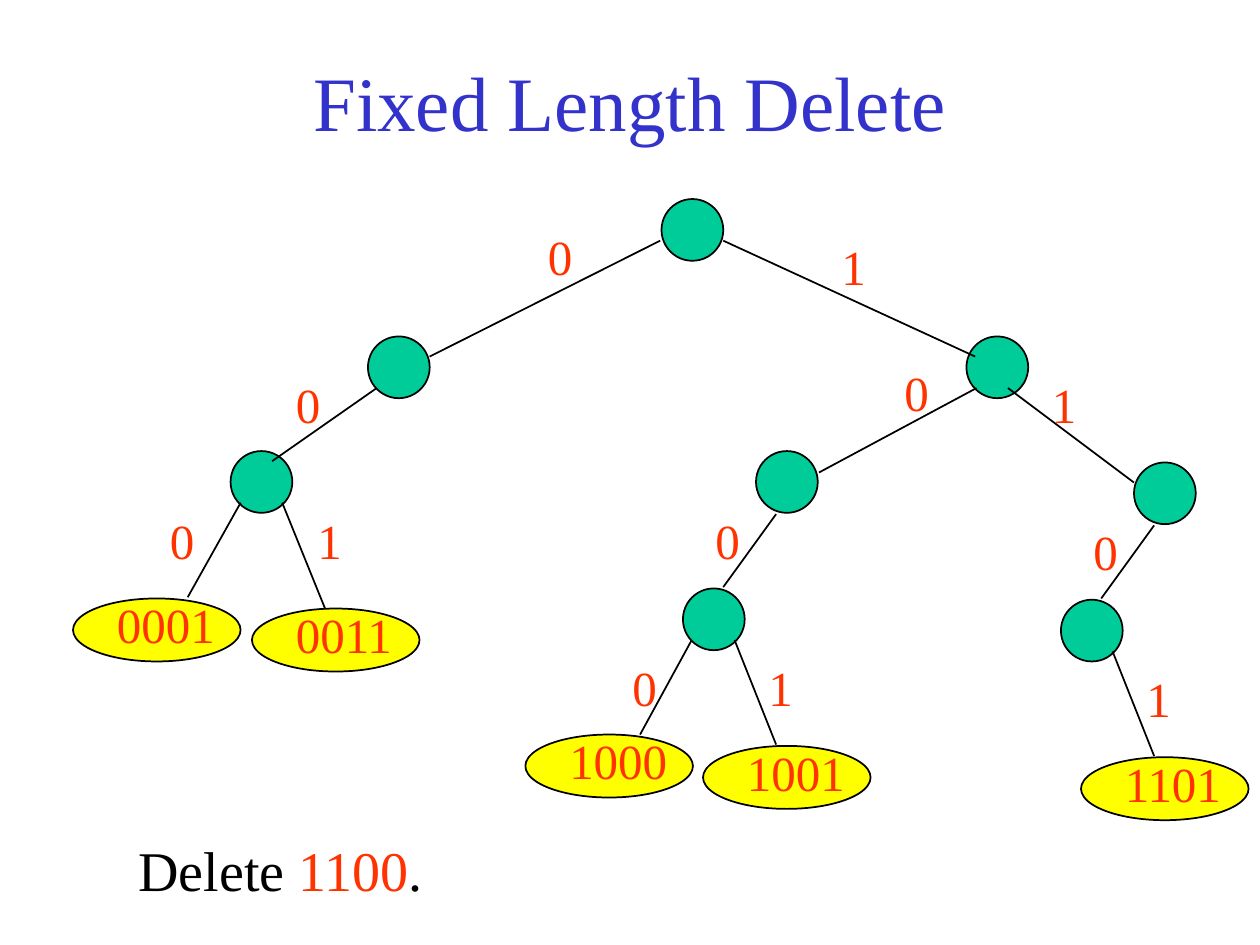
from dataclasses import dataclass

from lxml.etree import SubElement
from pptx import Presentation
from pptx.dml.color import RGBColor as Rgb
from pptx.enum.shapes import MSO_CONNECTOR as Connector, MSO_SHAPE as Preset
from pptx.enum.text import MSO_ANCHOR as Anchor, PP_ALIGN as Align
from pptx.oxml.ns import qn
from pptx.util import Inches, Pt


@dataclass(frozen=True)
class Theme:
    font: str = "Times New Roman"
    title: Rgb = Rgb(0x33, 0x33, 0xCC)
    bits: Rgb = Rgb(0xFF, 0x33, 0x00)
    ink: Rgb = Rgb(0, 0, 0)
    paper: Rgb = Rgb(0xFF, 0xFF, 0xFF)
    node: Rgb = Rgb(0x00, 0xCC, 0x99)
    leaf: Rgb = Rgb(0xFF, 0xFF, 0x00)
    title_size: int = 44
    note_size: int = 32
    bits_size: int = 28
    line_width: int = 1


@dataclass(frozen=True)
class Node:
    left: float
    top: float


@dataclass(frozen=True)
class Leaf:
    left: float
    top: float
    key: str


@dataclass(frozen=True)
class Edge:
    start: tuple[float, float]
    end: tuple[float, float]
    bit: str
    label_at: tuple[float, float]


THEME = Theme()
NODE_SIZE = 0.49
LEAF_WIDTH, LEAF_HEIGHT = 1.33, 0.5
LABEL_WIDTH, LABEL_HEIGHT = 0.5, 0.57
KEY_WIDTH = 1.17
KEY_SHIFT = (0.25, -0.08)  # key text relative to its leaf

NODES = [
    Node(5.25, 1.58),
    Node(2.92, 2.67), Node(7.67, 2.67),
    Node(1.83, 3.58), Node(6, 3.58), Node(9, 3.67),
    Node(5.42, 4.67), Node(8.42, 4.76),
]
LEAVES = [
    Leaf(0.58, 4.75, "0001"), Leaf(2, 4.83, "0011"),
    Leaf(4.17, 5.83, "1000"), Leaf(5.58, 5.92, "1001"),
    Leaf(8.58, 6.01, "1101"),
]
EDGES = [
    Edge((5.24, 1.91), (3.41, 2.83), "0", (4.25, 1.75)),
    Edge((5.74, 1.91), (7.74, 2.83), "1", (6.58, 1.83)),
    Edge((2.99, 3.08), (2.16, 3.66), "0", (2.25, 2.92)),
    Edge((7.75, 3.08), (6.5, 3.75), "0", (7.08, 2.83)),
    Edge((8, 3.08), (9, 3.83), "1", (8.25, 2.92)),
    Edge((1.91, 3.99), (1.49, 4.74), "0", (1.25, 4)),
    Edge((2.24, 3.99), (2.58, 4.83), "1", (2.42, 4)),
    Edge((6.16, 4.08), (5.74, 4.66), "0", (5.58, 4)),
    Edge((9.16, 4.17), (8.74, 4.75), "0", (8.58, 4.09)),
    Edge((5.49, 5.08), (5.08, 5.83), "0", (4.92, 5.17)),
    Edge((5.83, 5.08), (6.16, 5.91), "1", (6, 5.17)),
    Edge((8.83, 5.17), (9.16, 6), "1", (9, 5.26)),
]


def add_text(page, left: float, top: float, width: float, height: float,
             spans: list[tuple[str, Rgb]], size: int,
             align=Align.LEFT, anchor=Anchor.TOP):
    box = page.shapes.add_textbox(Inches(left), Inches(top), Inches(width), Inches(height))
    frame = box.text_frame
    frame.word_wrap = True
    frame.vertical_anchor = anchor
    para = frame.paragraphs[0]
    para.alignment = align
    for text, color in spans:
        span = para.add_run()
        span.text = text
        span.font.name = THEME.font
        span.font.size = Pt(size)
        span.font.color.rgb = color
    return box


def add_bits(page, left: float, top: float, width: float, text: str) -> None:
    add_text(page, left, top, width, LABEL_HEIGHT, [(text, THEME.bits)], THEME.bits_size)


def add_oval(page, left: float, top: float, width: float, height: float, fill: Rgb) -> None:
    oval = page.shapes.add_shape(
        Preset.OVAL, Inches(left), Inches(top), Inches(width), Inches(height))
    oval.shadow.inherit = False
    oval.fill.solid()
    oval.fill.fore_color.rgb = fill
    oval.line.color.rgb = THEME.ink
    oval.line.width = Pt(THEME.line_width)


def add_leaf(page, leaf: Leaf) -> None:
    add_oval(page, leaf.left, leaf.top, LEAF_WIDTH, LEAF_HEIGHT, THEME.leaf)
    add_bits(page, leaf.left + KEY_SHIFT[0], leaf.top + KEY_SHIFT[1], KEY_WIDTH, leaf.key)


def add_edge(page, edge: Edge) -> None:
    ends = [Inches(value) for value in (*edge.start, *edge.end)]
    line = page.shapes.add_connector(Connector.STRAIGHT, *ends)
    line.line.color.rgb = THEME.ink
    line.line.width = Pt(THEME.line_width)
    SubElement(line._element.spPr, qn("a:effectLst"))
    add_bits(page, *edge.label_at, LABEL_WIDTH, edge.bit)


def main() -> None:
    deck = Presentation()
    deck.slide_width, deck.slide_height = Inches(10), Inches(7.5)
    page = deck.slides.add_slide(deck.slide_layouts[6])

    # Title and the operation shown
    add_text(page, 0.75, 0.17, 8.5, 1.25, [("Fixed Length Delete", THEME.title)],
             THEME.title_size, Align.CENTER, Anchor.MIDDLE)
    note = add_text(page, 1, 6.58, 3.25, 0.63,
                    [("Delete", THEME.ink), (" 1100", THEME.bits), (".", THEME.ink)],
                    THEME.note_size)
    note.fill.solid()
    note.fill.fore_color.rgb = THEME.paper

    # Tree: branch nodes, leaves, then the labelled edges on top
    for node in NODES:
        add_oval(page, node.left, node.top, NODE_SIZE, NODE_SIZE, THEME.node)
    for leaf in LEAVES:
        add_leaf(page, leaf)
    for edge in EDGES:
        add_edge(page, edge)

    deck.save("out.pptx")


if __name__ == "__main__":
    main()
